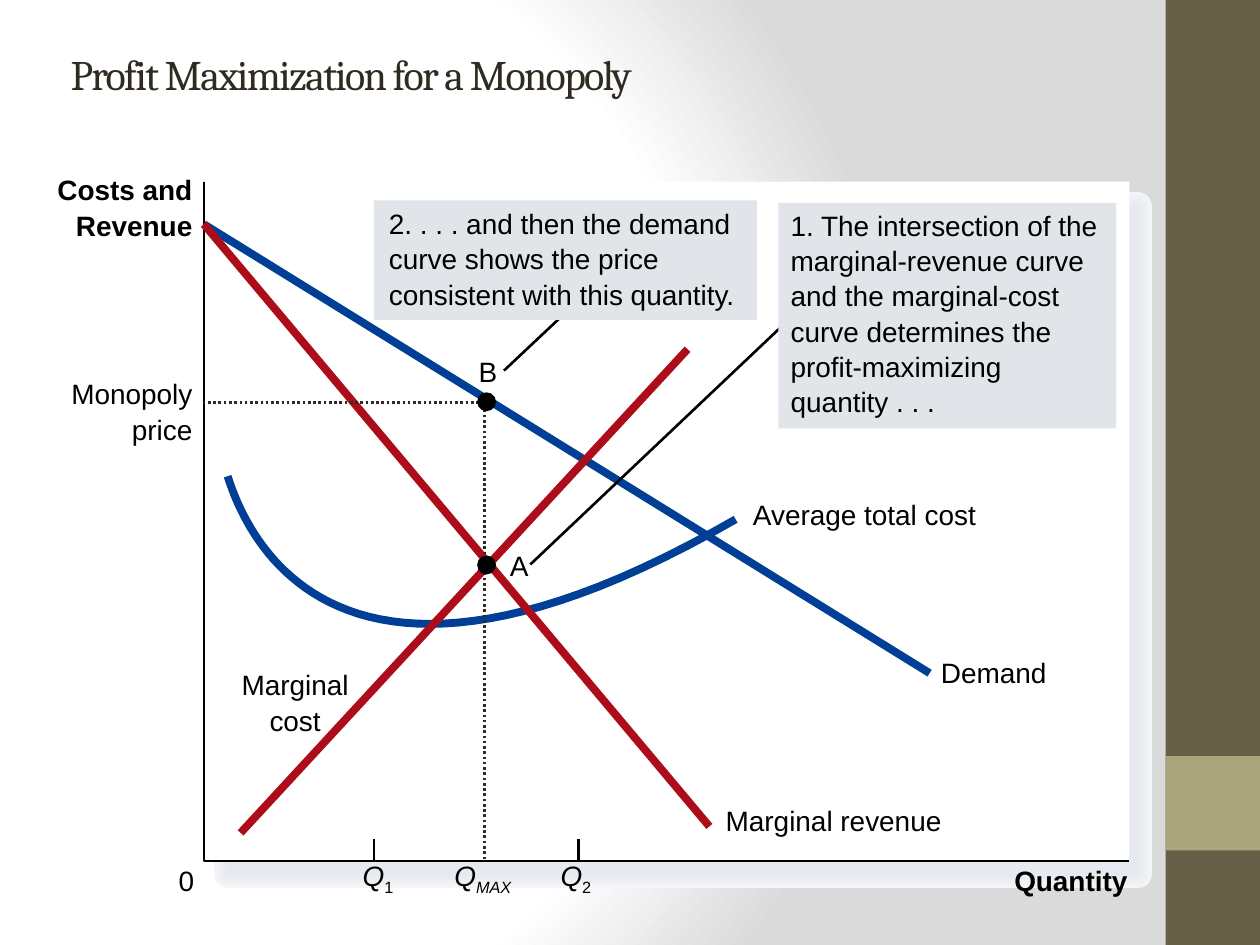
from pptx import Presentation
from pptx import util as u
from pptx.dml.color import RGBColor
from pptx.enum import dml, shapes, text
from pptx.oxml import parse_xml
from pptx.oxml.ns import nsdecls
from lxml import etree

Cm, Pt = u.Cm, u.Pt
A_NS = "http://schemas.openxmlformats.org/drawingml/2006/main"
LEFT, CENTER, RIGHT = text.PP_ALIGN.LEFT, text.PP_ALIGN.CENTER, text.PP_ALIGN.RIGHT

BLACK = RGBColor(0x00, 0x00, 0x00)
WHITE = RGBColor(0xFF, 0xFF, 0xFF)
INK = RGBColor(0x2F, 0x2B, 0x20)
BROWN = RGBColor(0x67, 0x5E, 0x47)
OLIVE = RGBColor(0xA9, 0xA5, 0x7C)
BLUE = RGBColor(0x00, 0x3F, 0x95)
RED = RGBColor(0xAD, 0x0D, 0x1B)
CALLOUT = RGBColor(0xE1, 0xE5, 0xE9)
SHADOW = [RGBColor.from_string(c) for c in (
    "F3F6F9 F2F4F8 F1F4F7 F0F2F5 EEF1F4 EDEFF3 "
    "EBEEF2 EAECF1 E9EBF0 E7EAEF E6E9EF").split()]

LINE_PITCH = 0.71
LINE_SHIFT = 0.06


def background(s):
    s._element.cSld.insert(0, parse_xml(
        f'<p:bg {nsdecls("p", "a")}><p:bgPr><a:gradFill rotWithShape="1"><a:gsLst>'
        '<a:gs pos="0"><a:srgbClr val="FFFFFF"/></a:gs>'
        '<a:gs pos="75000"><a:srgbClr val="FFFFFF"/></a:gs>'
        '<a:gs pos="100000"><a:srgbClr val="DADADA"/></a:gs></a:gsLst>'
        '<a:path path="circle"><a:fillToRect l="20000" t="50000" r="100000" b="50000"/>'
        '</a:path></a:gradFill><a:effectLst/></p:bgPr></p:bg>'))


def block(s, x, y, w, h, color, kind=shapes.MSO_SHAPE.RECTANGLE, border=None):
    sp = s.shapes.add_shape(kind, Cm(x), Cm(y), Cm(w), Cm(h))
    sp.shadow.inherit = False
    sp.fill.solid()
    sp.fill.fore_color.rgb = color
    if border:
        sp.line.color.rgb = color
        sp.line.width = Pt(border)
    else:
        sp.line.fill.background()
    return sp


def straight(s, box, start, end, color=BLACK, width=1.5):
    x, y = box[:2]
    ln = s.shapes.add_connector(
        shapes.MSO_CONNECTOR.STRAIGHT, Cm(x + start[0]), Cm(y + start[1]),
        Cm(x + end[0]), Cm(y + end[1]))
    ln.line.color.rgb = color
    ln.line.width = Pt(width)
    etree.SubElement(ln._element.spPr, f"{{{A_NS}}}effectLst")


def outline(s, box, points, color=BLACK, width=1.5, dash=None):
    x, y = box[:2]
    pts = [(Cm(x + px), Cm(y + py)) for px, py in points]
    fb = s.shapes.build_freeform(*pts[0])
    fb.add_line_segments(pts[1:], close=False)
    sp = fb.convert_to_shape()
    sp.shadow.inherit = False
    sp.fill.background()
    sp.line.color.rgb = color
    sp.line.width = Pt(width)
    if dash:
        sp.line.dash_style = dash


def bezier(a, b, c, d, steps=48):
    weights = [((1 - t) ** 3, 3 * t * (1 - t) ** 2, 3 * t * t * (1 - t), t ** 3)
               for t in (i / steps for i in range(steps + 1))]
    return [tuple(sum(k * q[axis] for k, q in zip(ws, (a, b, c, d))) for axis in (0, 1))
            for ws in weights]


def write(tf, words, align=LEFT, bold=False, italic=None, inset=(0, 0)):
    tf.word_wrap = False
    tf.auto_size = text.MSO_AUTO_SIZE.NONE
    tf.vertical_anchor = text.MSO_ANCHOR.TOP
    tf.margin_left = tf.margin_right = Cm(inset[0])
    tf.margin_top, tf.margin_bottom = Cm(inset[1]), 0
    p = tf.paragraphs[0]
    p.text = words
    p.alignment = align
    p.line_spacing = Pt(20.2)
    f = p.font
    f.name, f.size, f.bold, f.italic = "Arial", Pt(16), bold, italic
    f.color.rgb = BLACK
    return p


def label(s, box, x, y, w, words, **style):
    lines = words.count("\v") + 1
    sp = s.shapes.add_textbox(Cm(box[0] + x), Cm(box[1] + y - LINE_SHIFT),
                              Cm(w), Cm(lines * LINE_PITCH))
    return write(sp.text_frame, words, **style)


def quantity_label(s, box, x, w, sub, italic):
    p = label(s, box, x, 13.77, w, "Q")
    p.runs[0].font.italic = True
    r = p.add_run()
    r.text = sub
    r.font.italic = italic
    r._r.get_or_add_rPr().set("baseline", "-25000")


def callout(s, box, x, y, w, h, words, inset, leader):
    straight(s, box, *leader)
    sp = block(s, box[0] + x, box[1] + y, w, h, CALLOUT)
    write(sp.text_frame, words, inset=inset)


def sidebar(s, box):
    x, y, w, h = box
    block(s, x, y, w, h, BROWN)
    block(s, x, y + 0.8 * h, w, 0.1 * h, OLIVE)


def title(s, box, words):
    sp = s.shapes.title
    sp.left, sp.top, sp.width, sp.height = map(Cm, box)
    tf = sp.text_frame
    tf.auto_size = text.MSO_AUTO_SIZE.NONE
    tf.vertical_anchor = text.MSO_ANCHOR.MIDDLE
    p = tf.paragraphs[0]
    p.text = words
    p.alignment = LEFT
    p.line_spacing = 0.8
    p.font.name, p.font.size = "Cambria", Pt(24)
    p.font.color.rgb = INK
    p.runs[0]._r.get_or_add_rPr().set("spc", "-100")


def panel(s, box):
    x, y, w, h = box
    for i, color in enumerate(SHADOW):
        block(s, x + 0.49, y + 0.51, w - 0.32, h - 0.26, color,
              border=1.5 * (len(SHADOW) - i))
    block(s, x, y, w, h, WHITE)


def axes(s, box):
    w, h = box[2:]
    outline(s, box, [(0, 0), (0, h), (w, h)])
    for x in (3.43, 7.55):
        straight(s, box, (x, h - 0.44), (x, h))
    label(s, box, 16.33, 13.77, 2.29, "Quantity", align=RIGHT, bold=True)
    label(s, box, -0.51, 13.77, 0.3, "0")
    label(s, box, -2.95, -0.15, 2.72, "Costs and\vRevenue", align=RIGHT, bold=True)
    quantity_label(s, box, 3.2, 0.65, "1", False)
    quantity_label(s, box, 7.19, 0.65, "2", False)


def curves(s, box):
    straight(s, box, (0, 0.86), (14.63, 9.91), BLUE, 4.5)
    label(s, box, 14.86, 9.58, 2.13, "Demand")
    outline(s, box, bezier((0.48, 5.94), (0.86, 7.14), (2.67, 11.46), (10.72, 6.81)),
            BLUE, 4.5)
    label(s, box, 11.07, 6.4, 4.52, "Average total cost")
    straight(s, box, (0, 0.86), (10.19, 13), RED, 4.5)
    label(s, box, 10.52, 12.57, 4.37, "Marginal revenue")
    straight(s, box, (9.75, 3.38), (0.74, 13.13), RED, 4.5)
    label(s, box, 0.76, 9.83, 2.16, "Marginal\vcost", align=CENTER)


def optimum(s, box):
    outline(s, box, [(5.66, 13.66), (5.66, 4.45), (0, 4.45)], INK,
            dash=dml.MSO_LINE.ROUND_DOT)
    label(s, box, -2.67, 3.96, 2.44, "Monopoly\vprice", align=RIGHT)
    quantity_label(s, box, 5.05, 1.3, "MAX", True)
    callout(s, box, 11.58, 0.43, 6.81, 4.55,
            "1. The intersection of the\vmarginal-revenue curve\vand the marginal-cost\v"
            "curve determines the\vprofit-maximizing\vquantity . . .",
            (0.25, 0.07), ((6.58, 7.72), (11.89, 2.69)))
    callout(s, box, 3.43, 0.38, 7.72, 2.41,
            "2. . . . and then the demand\vcurve shows the price\v"
            "consistent with this quantity.",
            (0.3, 0.09), ((6.05, 3.81), (7.24, 2.69)))
    d = 0.38
    for name, cy, tx, ty in (("B", 4.44, 5.54, 3.51), ("A", 7.73, 6.17, 7.42)):
        block(s, box[0] + 5.7 - d / 2, box[1] + cy - d / 2, d, d, BLACK,
              shapes.MSO_SHAPE.OVAL)
        label(s, box, tx, ty, d, name)


def main():
    prs = Presentation()
    prs.slide_width, prs.slide_height = Cm(25.4), Cm(19.05)
    s = prs.slides.add_slide(prs.slide_layouts[5])
    background(s)
    sidebar(s, (23.5, 0, 1.9, 19.05))
    title(s, (1.17, 0.64, 22.86, 1.9), "Profit Maximization for a Monopoly")
    plot = (4.11, 3.66, 18.66, 13.7)
    for part in (panel, axes, curves, optimum):
        part(s, plot)
    prs.save("out.pptx")


if __name__ == "__main__":
    main()
